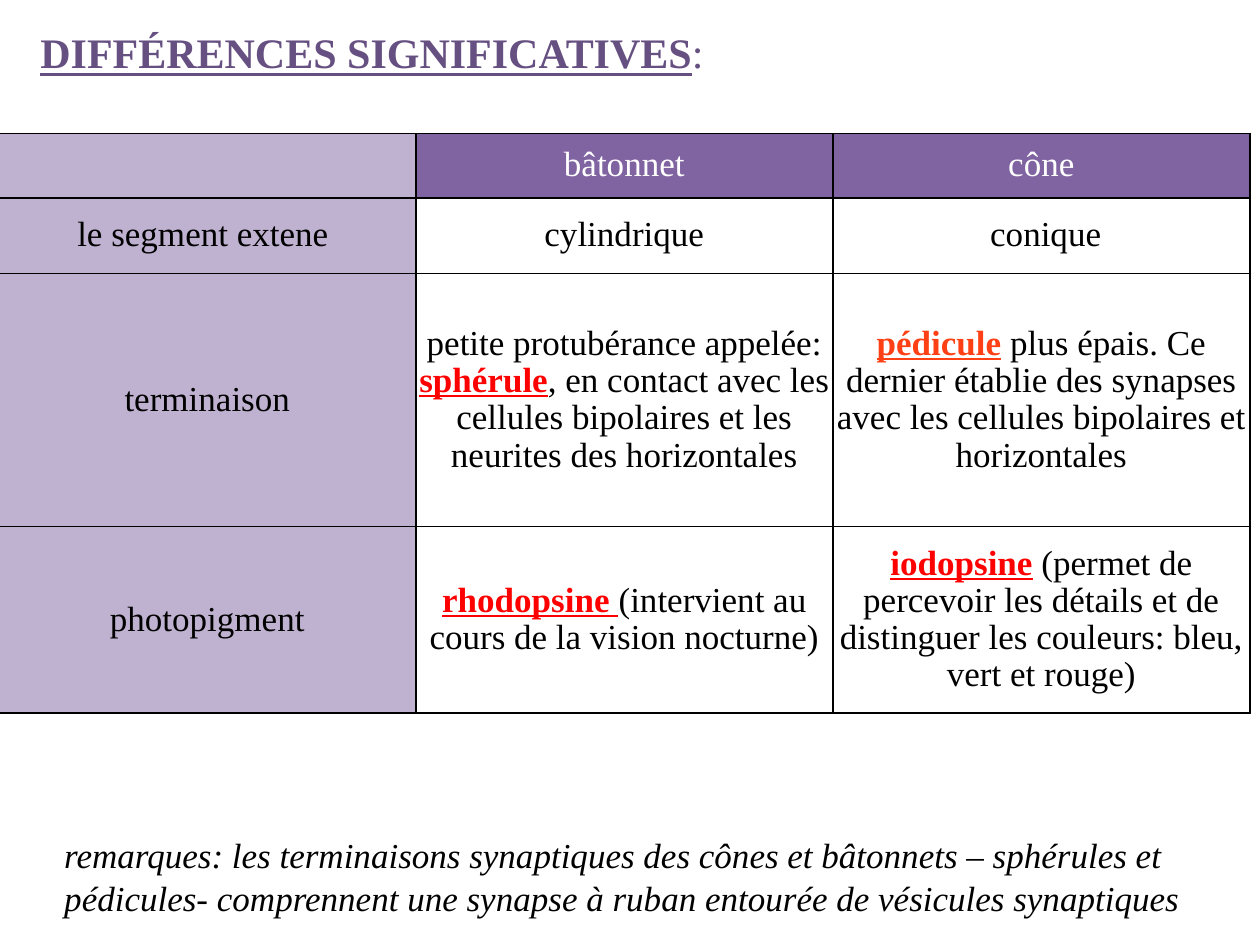
from pptx import Presentation
from pptx.dml.color import RGBColor
from pptx.enum.text import MSO_ANCHOR, PP_ALIGN
from pptx.oxml import parse_xml
from pptx.oxml.ns import nsdecls
from pptx.util import Inches, Pt

THEME = dict(font="Times New Roman", head=30, body=20, ink="000000", plum="665082",
             deep="8064A2", pale="BFB1D0", white="FFFFFF", red="FF0000", coral="FF4015")


def write(para, text, size=THEME["body"], color="ink", bold=False, italic=False, small=False):
    run = para.add_run()
    run.text = text
    font = run.font
    font.name, font.size = THEME["font"], Pt(size)
    font.color.rgb = RGBColor.from_string(THEME[color])
    font.bold, font.underline, font.italic = bold, bold, italic
    if small:
        run._r.get_or_add_rPr().set("cap", "small")


def frame(cell):
    props = cell._tc.get_or_add_tcPr()
    for i, side in enumerate(("lnL", "lnR", "lnT", "lnB")):
        props.insert(i, parse_xml(
            f'<a:{side} {nsdecls("a")} w="{Pt(1)}"><a:solidFill>'
            f'<a:srgbClr val="{THEME["ink"]}"/></a:solidFill></a:{side}>'))


deck = Presentation()
deck.slide_width, deck.slide_height = Inches(10), Inches(7.5)
slide = deck.slides.add_slide(deck.slide_layouts[5])

title = slide.shapes.title
title.left, title.top, title.width, title.height = map(Inches, (0.27, 0.08, 5.65, 1.03))
note = slide.shapes.add_textbox(*map(Inches, (0.46, 6.55, 9.45, 0.73)))
for box in (title.text_frame, note.text_frame):
    box.word_wrap = True
    box.vertical_anchor = MSO_ANCHOR.TOP
    box.margin_left = box.margin_right = box.margin_top = box.margin_bottom = Inches(0.05)
    box.paragraphs[0].alignment = PP_ALIGN.LEFT

para = title.text_frame.paragraphs[0]
write(para, "différences significatives", size=THEME["head"], color="plum", bold=True, small=True)
write(para, ":", size=THEME["head"], color="plum", small=True)

para = note.text_frame.paragraphs[0]
para.line_spacing = 1.04
write(para, "remarques: les terminaisons synaptiques des cônes et bâtonnets – sphérules et "
      "pédicules- comprennent une synapse à ruban entourée de vésicules synaptiques", italic=True)

rows = [
    (0.51, [[], [("bâtonnet", "white")], [("cône", "white")]]),
    (0.6, [[("le segment extene ", "ink")], [("cylindrique", "ink")], [(" conique", "ink")]]),
    (2.01, [[("terminaison", "ink")],
            [("petite protubérance appelée: ", "ink"), ("sphérule", "red"),
             (", en contact avec les cellules bipolaires et les neurites des horizontales", "ink")],
            [("pédicule", "coral"),
             (" plus épais. Ce dernier établie des synapses avec les cellules bipolaires "
              "et horizontales", "ink")]]),
    (1.48, [[("photopigment", "ink")],
            [("rhodopsine ", "red"), ("(intervient au cours de la vision nocturne)", "ink")],
            [("iodopsine", "red"),
             (" (permet de percevoir les détails et de distinguer les couleurs: bleu, "
              "vert et rouge)", "ink")]]),
]
wide = 3.31
table = slide.shapes.add_table(len(rows), 3, Inches(-0.01), Inches(1.06), Inches(3 * wide),
                               Inches(sum(tall for tall, _ in rows))).table
for col in table.columns:
    col.width = Inches(wide)
for r, (tall, cells) in enumerate(rows):
    table.rows[r].height = Inches(tall)
    for c, parts in enumerate(cells):
        cell = table.cell(r, c)
        cell.margin_left = cell.margin_right = cell.margin_top = cell.margin_bottom = 0
        cell.vertical_anchor = MSO_ANCHOR.MIDDLE
        cell.fill.solid()
        tone = "pale" if c == 0 else "deep" if r == 0 else "white"
        cell.fill.fore_color.rgb = RGBColor.from_string(THEME[tone])
        frame(cell)
        para = cell.text_frame.paragraphs[0]
        para.alignment = PP_ALIGN.CENTER
        para.line_spacing = 0.96
        for text, color in parts:
            write(para, text, color=color, bold=color in ("red", "coral"))

deck.save("out.pptx")
